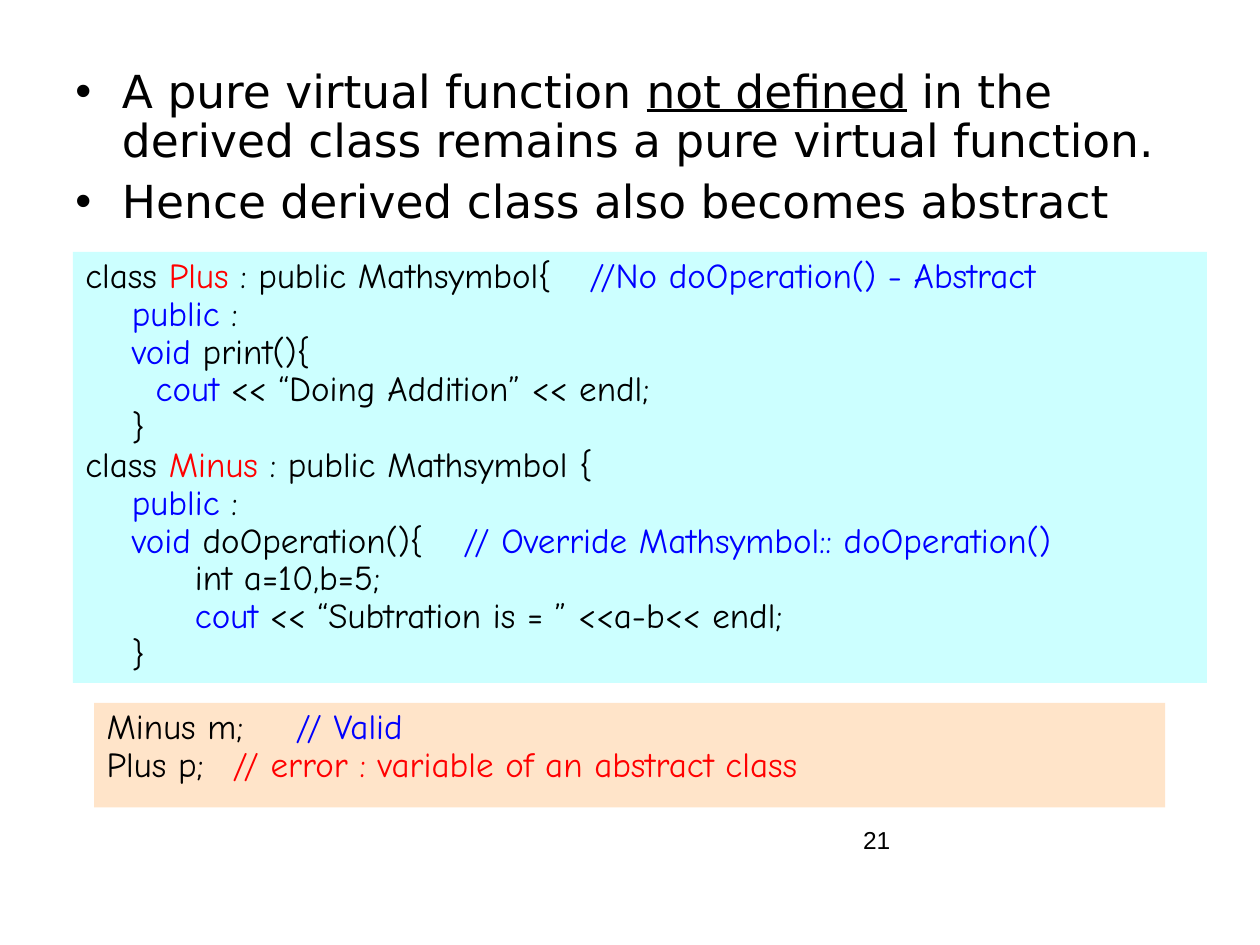
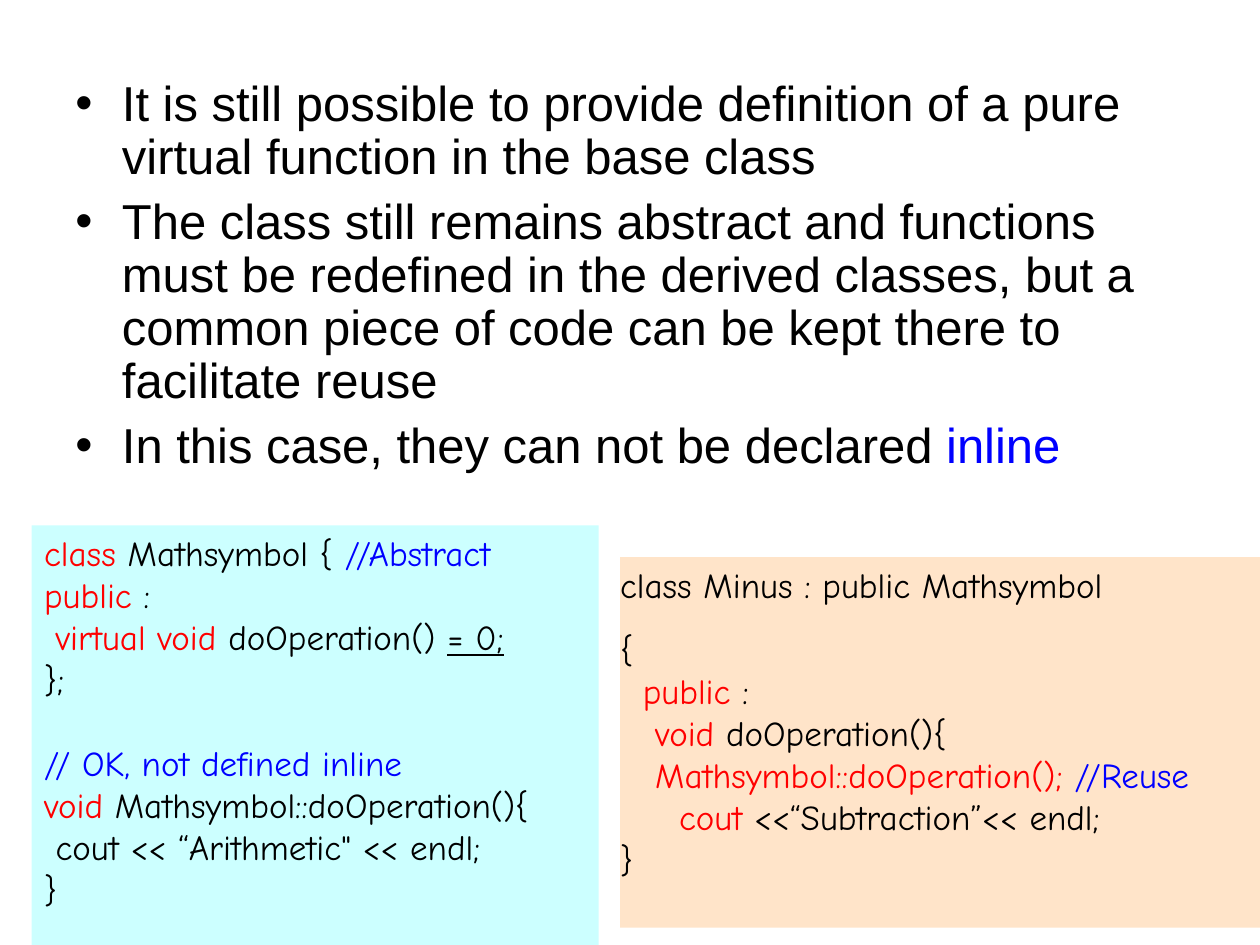
from lxml.etree import SubElement
from pptx import Presentation
from pptx.dml.color import RGBColor
from pptx.enum.shapes import MSO_SHAPE
from pptx.enum.text import MSO_ANCHOR, PP_ALIGN
from pptx.oxml.ns import qn
from pptx.util import Cm, Pt

COLORS = {
    "ink": "000000",
    "keyword": "FF0000",
    "comment": "0000FF",
    "cyan": "CCFFFF",
    "peach": "FFE4C9",
}
# Marks inside the texts switch the style: [k] plain, [r] red, [b] blue, [u] underlined
MARKS = {"k": "ink", "r": "keyword", "b": "comment", "u": "ink"}
CODE_FONT, CODE_SIZE = "Comic Neue", 20
HANG = 0.94


def rgb(name):
    return RGBColor.from_string(COLORS[name])


def add_marked_text(paragraph, marked, font, size):
    """Fill a paragraph with one run for each style mark."""
    for piece in ("k]" + marked).split("["):
        mark, text = piece.split("]")
        if not text:
            continue
        run = paragraph.add_run()
        run.text = text
        run.font.name, run.font.size = font, Pt(size)
        run.font.color.rgb = rgb(MARKS[mark])
        run.font.underline = mark == "u"


def paragraphs(frame, count):
    """Return the given number of left-aligned paragraphs of a frame."""
    for _ in range(count - 1):
        frame.add_paragraph()
    for paragraph in frame.paragraphs:
        paragraph.alignment = PP_ALIGN.LEFT
    return frame.paragraphs


def text_frame_at(slide, box):
    frame = slide.shapes.add_textbox(*map(Cm, box)).text_frame
    frame.word_wrap = True
    return frame


def add_bullets(slide, box, items, font, size):
    """Bulleted statements with a hanging indent."""
    frame = text_frame_at(slide, box)
    for paragraph, item in zip(paragraphs(frame, len(items)), items):
        paragraph.line_spacing = 0.9
        paragraph.space_before = Pt(size / 4)
        add_marked_text(paragraph, item, font, size)
        props = paragraph._p.get_or_add_pPr()
        props.set("marL", str(Cm(HANG)))
        props.set("indent", str(-Cm(HANG)))
        bullet_color = SubElement(props, qn("a:buClr"))
        SubElement(bullet_color, qn("a:srgbClr"), val=COLORS["ink"])
        SubElement(props, qn("a:buFont"), typeface="Arial")
        SubElement(props, qn("a:buChar"), char="•")


def add_code(slide, box, fill, lines, spacing=1.0, gaps=None, tabs=None, side=0.25):
    """Code panel: lines are (indent, text); gaps and tabs are keyed by line."""
    gaps, tabs = gaps or {}, tabs or {}
    panel = slide.shapes.add_shape(MSO_SHAPE.RECTANGLE, *map(Cm, box))
    panel.shadow.inherit = False
    panel.fill.solid()
    panel.fill.fore_color.rgb = rgb(fill)
    panel.line.fill.background()
    frame = panel.text_frame
    frame.word_wrap = True
    frame.vertical_anchor = MSO_ANCHOR.TOP
    frame.margin_left = frame.margin_right = Cm(side)
    for number, paragraph in enumerate(paragraphs(frame, len(lines))):
        indent, code = lines[number]
        paragraph.line_spacing = spacing
        paragraph.space_before = Pt(gaps.get(number, 0))
        add_marked_text(paragraph, code, CODE_FONT, CODE_SIZE)
        props = paragraph._p.get_or_add_pPr()
        props.set("marL", "0")
        props.set("indent", str(Cm(indent)))
        if number in tabs:
            stops = SubElement(props, qn("a:tabLst"))
            SubElement(stops, qn("a:tab"), pos=str(Cm(tabs[number])), algn="l")


def add_page_number(slide, box, number):
    frame = text_frame_at(slide, box)
    add_marked_text(paragraphs(frame, 1)[0], number, "Arial", 14)


def build_undefined_slide(slide):
    """A pure virtual function left undefined in the derived class."""
    add_page_number(slide, (17.15, 16.51, 5.28, 0.64), "21")
    add_bullets(slide, (1.27, 1.27, 22.86, 3.61), [
        "A pure virtual function [u]not defined[k] in the derived class "
        "remains a pure virtual function.",
        "Hence derived class also becomes abstract",
    ], "DejaVu Sans", 26)
    # Class definitions
    body, nested, deep = HANG, 1.42, 2.21
    add_code(slide, (1.47, 5.08, 22.86, 8.69), "cyan", [
        (0, "class [r]Plus[k] : public Mathsymbol{\t[b]//No doOperation() - Abstract"),
        (body, "[b]public[k] :"),
        (body, "[b]void[k] print(){"),
        (nested, "[b]cout[k] << “Doing Addition” << endl;"),
        (body, "}"),
        (0, "class [r]Minus[k] : public Mathsymbol {"),
        (body, "[b]public[k] :"),
        (body, "[b]void[k] doOperation(){\t[b]// Override Mathsymbol:: doOperation()"),
        (deep, "int a=10,b=5;"),
        (deep, "[b]cout[k] << “Subtration is = ” <<a-b<< endl;"),
        (body, "}"),
    ], spacing=0.9, tabs={0: 10.9, 7: 7.8})
    # Use of the classes
    add_code(slide, (1.9, 14.17, 21.59, 2.11), "peach", [
        (0, "Minus m;\t[b]// Valid"),
        (0, "Plus p;\t[r]// error : variable of an abstract class"),
    ], spacing=0.9, tabs={0: 4.67, 1: 4.67})


def build_definition_slide(slide):
    """A pure virtual function defined in the base class."""
    add_bullets(slide, (1.27, 1.47, 23.06, 8.89), [
        "It is still possible to provide definition of a pure virtual "
        "function in the base class",
        "The class still remains abstract and functions must be redefined in "
        "the derived classes, but a common piece of code can be kept there "
        "to facilitate reuse",
        "In this case, they can not be declared [b]inline",
    ], "Arial", 28)
    # Base class
    add_code(slide, (0.64, 10.59, 11.43, 10.41), "cyan", [
        (0, "[r]class[k] Mathsymbol { [b]//Abstract"),
        (0, "[r]public[k] :"),
        (0.23, "[r]virtual void [k]doOperation() [u]= 0;"),
        (0, "};"),
        (0, "[b]// OK, not defined inline"),
        (0, "[r]void[k] Mathsymbol::doOperation(){"),
        (0.23, "cout << “Arithmetic\" << endl;"),
        (0, "}"),
    ], gaps={4: 24})
    # Derived class
    add_code(slide, (12.5, 11.23, 12.9, 7.47), "peach", [
        (0, "class Minus : public Mathsymbol"),
        (0, "{"),
        (0.46, "[r]public[k] :"),
        (0.71, "[r]void[k] doOperation(){"),
        (0.71, "[r]Mathsymbol::doOperation(); [b]//Reuse"),
        (1.19, "[r]cout[k] <<“Subtraction”<< endl;"),
        (0, "}"),
    ], gaps={1: 12.5}, side=0)


deck = Presentation()
deck.slide_width, deck.slide_height = Cm(25.4), Cm(19.05)
for build in (build_undefined_slide, build_definition_slide):
    build(deck.slides.add_slide(deck.slide_layouts[6]))
deck.save("out.pptx")
